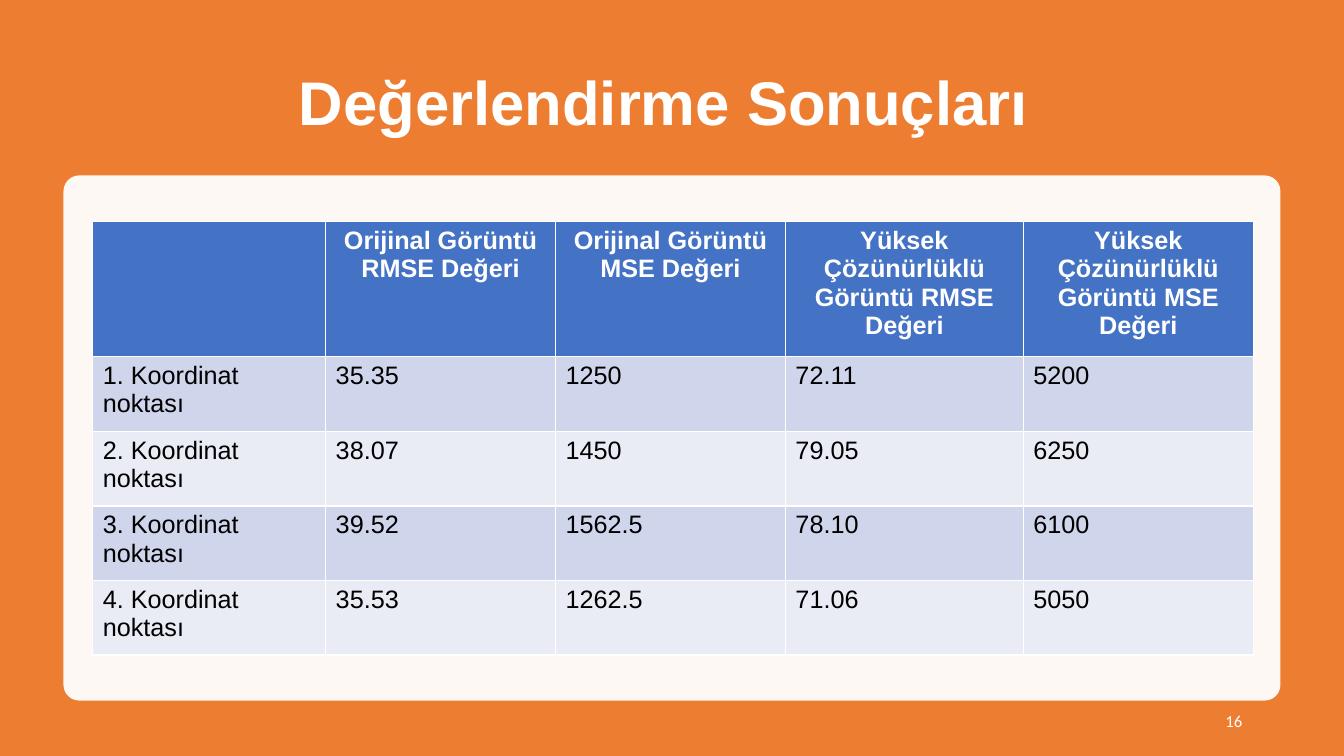
from lxml import etree
from pptx import Presentation
from pptx.dml.color import RGBColor
from pptx.enum.shapes import MSO_SHAPE
from pptx.enum.text import MSO_ANCHOR, PP_ALIGN
from pptx.oxml.ns import qn
from pptx.util import Inches, Pt

RECT, ROUND = MSO_SHAPE.RECTANGLE, MSO_SHAPE.ROUNDED_RECTANGLE
LEFT, CENTER, RIGHT = PP_ALIGN.LEFT, PP_ALIGN.CENTER, PP_ALIGN.RIGHT
MIDDLE = MSO_ANCHOR.MIDDLE

WHITE, BLACK, ORANGE, BLUE = "FFFFFF", "000000", "ED7D31", "4472C4"
BANDS = ("CFD5EA", "E9EBF5")
WIDTHS = (2.31, 2.28, 2.28, 2.36, 2.28)
HEIGHTS = (1.34, 0.74, 0.74, 0.74, 0.74)
ROWS = (
    ("", "Orijinal Görüntü RMSE Değeri", "Orijinal Görüntü MSE Değeri",
     "Yüksek Çözünürlüklü Görüntü RMSE Değeri",
     "Yüksek Çözünürlüklü Görüntü MSE Değeri"),
    ("1. Koordinat noktası", "35.35", "1250", "72.11", "5200"),
    ("2. Koordinat noktası", "38.07", "1450", "79.05", "6250"),
    ("3. Koordinat noktası", "39.52", "1562.5", "78.10", "6100"),
    ("4. Koordinat noktası", "35.53", "1262.5", "71.06", "5050"),
)


def paint(target, color):
    """Give a fill or a font one solid colour."""
    if hasattr(target, "solid"):
        target.solid()
        target.fore_color.rgb = RGBColor.from_string(color)
    else:
        target.color.rgb = RGBColor.from_string(color)


def inches(*values):
    return [Inches(value) for value in values]


class Deck:
    """Holds the text style and the current slide."""

    def __init__(self, slide, font):
        self.slide = slide
        self.shapes = slide.shapes
        self.font = font

    def put(self, frame, text, color, align=LEFT, **style):
        """Fill a text frame with one formatted paragraph."""
        para = frame.paragraphs[0]
        para.text = text
        para.alignment = align
        font = para.runs[0].font if text else para.font
        for name, value in {"name": self.font, **style}.items():
            setattr(font, name, value)
        paint(font, color)
        return para

    def panel(self, kind, box, color, round=None, alpha=None):
        shape = self.shapes.add_shape(kind, *inches(*box))
        shape.shadow.inherit = False
        shape.line.fill.background()
        paint(shape.fill, color)
        if round is not None:
            shape.adjustments[0] = round
        if alpha is not None:
            tint = shape.element.spPr.find(".//" + qn("a:srgbClr"))
            etree.SubElement(tint, qn("a:alpha")).set("val", str(alpha * 1000))

    def title(self, text, box):
        """Place the title placeholder above the shapes drawn so far."""
        title = self.shapes.title
        title.element.getparent().append(title.element)
        title.left, title.top, title.width, title.height = inches(*box)
        frame = title.text_frame
        frame.vertical_anchor = MIDDLE
        para = self.put(frame, text, WHITE, CENTER, size=Pt(44), bold=True)
        para.line_spacing = 0.9

    def label(self, text, box):
        frame = self.shapes.add_textbox(*inches(*box)).text_frame
        frame.word_wrap = True
        frame.vertical_anchor = MIDDLE
        para = self.put(frame, text, WHITE, RIGHT, name="Calibri", size=Pt(12))
        para.space_after = Pt(6)

    def table(self, rows, left, top):
        box = inches(left, top, sum(WIDTHS), sum(HEIGHTS))
        grid = self.shapes.add_table(len(rows), len(WIDTHS), *box).table
        for col, width in zip(grid.columns, WIDTHS):
            col.width = Inches(width)
        for i, (row, height) in enumerate(zip(rows, HEIGHTS)):
            grid.rows[i].height = Inches(height)
            head = i == 0
            fill = BLUE if head else BANDS[(i - 1) % 2]
            color, align = (WHITE, CENTER) if head else (BLACK, LEFT)
            for j, text in enumerate(row):
                cell = grid.cell(i, j)
                paint(cell.fill, fill)
                self.put(cell.text_frame, text, color, align,
                         size=Pt(18), bold=head)


def main():
    prs = Presentation()
    prs.slide_width, prs.slide_height = inches(13.33, 7.5)
    deck = Deck(prs.slides.add_slide(prs.slide_layouts[5]), "Arial")
    deck.panel(RECT, (0, 0, 13.33, 7.5), ORANGE)
    deck.title("Değerlendirme Sonuçları ", (0.92, 0.5, 11.5, 1.1))
    deck.panel(ROUND, (0.63, 1.74, 12.07, 5.21), WHITE, round=0.03, alpha=95)
    deck.label("16", (9.42, 6.95, 3, 0.4))
    deck.table(ROWS, 0.92, 2.2)
    prs.save("out.pptx")


if __name__ == "__main__":
    main()
